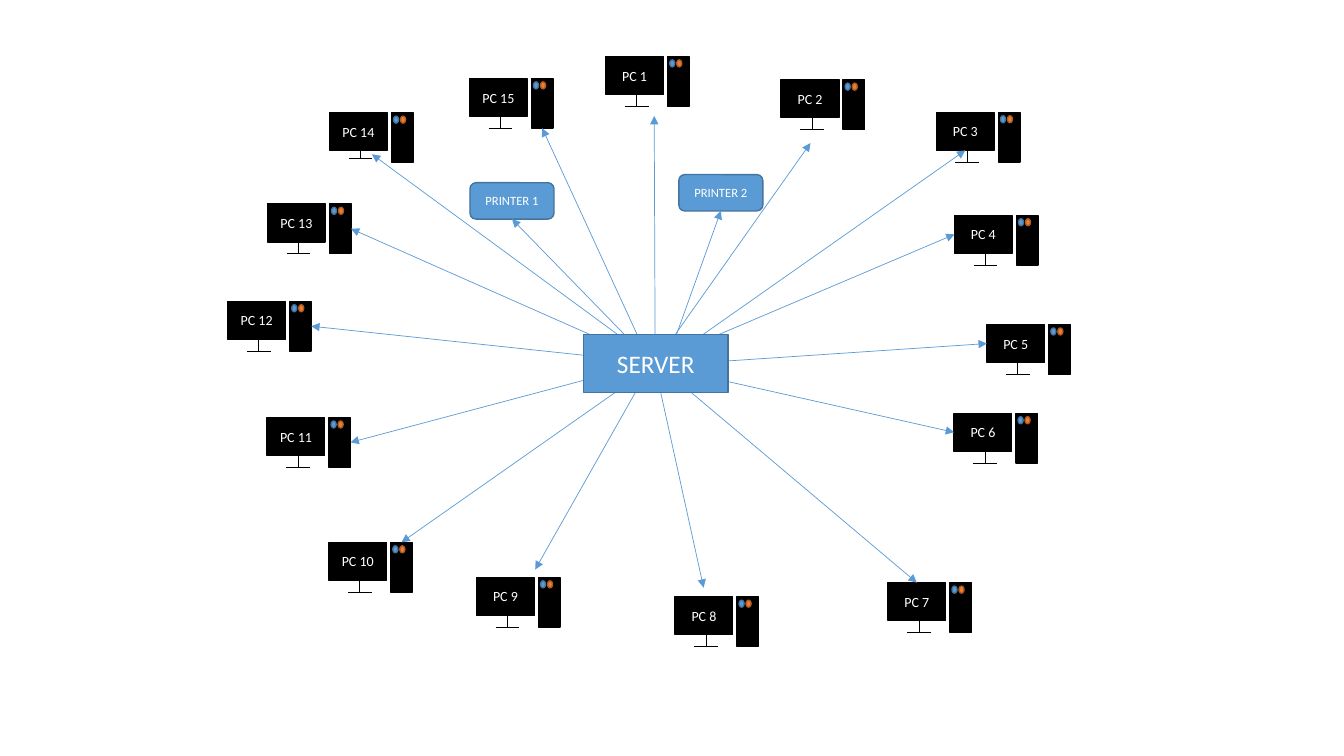
from dataclasses import dataclass
from typing import Optional

from lxml.etree import SubElement
from pptx import Presentation
from pptx.dml.color import RGBColor
from pptx.enum.shapes import MSO_CONNECTOR, MSO_SHAPE
from pptx.enum.text import MSO_ANCHOR, PP_ALIGN
from pptx.oxml.ns import qn
from pptx.shapes.autoshape import Shape
from pptx.shapes.connector import Connector
from pptx.util import Pt

BLACK, WHITE = "000000", "FFFFFF"
BLUE, DARK_BLUE = "5B9BD5", "43739E"
ORANGE, DARK_ORANGE = "ED7D31", "AF5C24"
TOP, LEFT, BOTTOM, RIGHT = range(4)

Point = tuple[float, float]


@dataclass
class Computer:
    """A cable ends at a side of the monitor or tower, or at a free tip."""
    name: str
    left: float
    top: float
    cable_start: Point
    unit: str = "monitor"
    side: int = LEFT
    tip: Optional[Point] = None
    stand_height: float = 8.4


@dataclass
class Printer:
    name: str
    left: float
    top: float
    cable_start: Optional[Point] = None


COMPUTERS = [
    Computer("PC 1", 432.7, 40.3, (468, 259.2), tip=(467.3, 82.8)),
    Computer("PC 2", 558, 56.9, (468, 259.2), tip=(578.9, 102.2)),
    Computer("PC 3", 668.9, 80.2, (465.1, 265), side=BOTTOM),
    Computer("PC 4", 681.8, 153.8, (465.8, 259.2)),
    Computer("PC 5", 704.9, 231.8, (466.6, 261.4)),
    Computer("PC 6", 681.5, 295.2, (466.6, 260.6)),
    Computer("PC 7", 634.3, 416.2, (464.4, 255.6), side=TOP),
    Computer("PC 8", 482.2, 426.2, (467.3, 259.2), tip=(502.6, 419.8)),
    Computer("PC 9", 340.4, 412.4, (465.8, 259.2), tip=(382.3, 406.8)),
    Computer("PC 10", 234.9, 387.4, (464.4, 262.8), "tower", TOP),
    Computer("PC 11", 190.8, 298.2, (463.7, 259.2), "tower", RIGHT),
    Computer("PC 12", 162.7, 215.2, (468, 259.2), "tower", RIGHT),
    Computer("PC 13", 191.1, 145.6, (462.2, 257), "tower", RIGHT),
    Computer("PC 14", 235.4, 80.5, (465.8, 257), tip=(265.7, 110.2), stand_height=5.6),
    Computer("PC 15", 335.4, 56, (464.4, 259.2), "tower", BOTTOM),
]
PRINTERS = [
    Printer("PRINTER 1", 335.7, 130.5, (465.1, 258.5)),
    Printer("PRINTER 2", 484.9, 124.7),
]


def rgb(colour: str) -> RGBColor:
    return RGBColor.from_string(colour)


def add_block(shapes, kind: MSO_SHAPE, left: float, top: float, width: float,
              height: float, fill: str, outline: str) -> Shape:
    block = shapes.add_shape(kind, Pt(left), Pt(top), Pt(width), Pt(height))
    block.shadow.inherit = False
    block.fill.solid()
    block.fill.fore_color.rgb = rgb(fill)
    block.line.color.rgb = rgb(outline)
    block.line.width = Pt(1)
    return block


def write_label(block: Shape, label: str, size: float) -> None:
    frame = block.text_frame
    frame.text = label
    frame.word_wrap = True
    frame.vertical_anchor = MSO_ANCHOR.MIDDLE
    frame.margin_left = frame.margin_right = 0
    frame.margin_top = frame.margin_bottom = 0
    paragraph = frame.paragraphs[0]
    paragraph.alignment = PP_ALIGN.CENTER
    font = paragraph.runs[0].font
    font.name = "Calibri"
    font.size = Pt(size)
    font.color.rgb = rgb(WHITE)


def add_line(shapes, start: Point, end: Point, colour: str) -> Connector:
    line = shapes.add_connector(MSO_CONNECTOR.STRAIGHT, Pt(start[0]), Pt(start[1]),
                                Pt(end[0]), Pt(end[1]))
    line.line.color.rgb = rgb(colour)
    line.line.width = Pt(0.5)
    SubElement(line._element.spPr, qn("a:effectLst"))
    return line


def add_cable(shapes, start: Point, end: Point) -> Connector:
    cable = add_line(shapes, start, end, BLUE)
    outline = cable._element.spPr.find(qn("a:ln"))
    SubElement(outline, qn("a:tailEnd"), type="triangle")
    return cable


def add_computer(shapes, computer: Computer) -> dict[str, Shape]:
    """Draw one computer as a group and return the units a cable can join."""
    group = shapes.add_group_shape().shapes
    left, top = computer.left, computer.top
    monitor = add_block(group, MSO_SHAPE.RECTANGLE, left, top, 41.2, 27.2, BLACK, BLACK)
    write_label(monitor, computer.name, 10)
    neck, desk = left + 22.1, top + 27.2 + computer.stand_height
    add_line(group, (neck, top + 27.2), (neck, desk), BLACK)
    add_line(group, (neck - 8.5, desk), (neck + 8.5, desk), BLACK)
    tower = add_block(group, MSO_SHAPE.RECTANGLE, left + 44.2, top, 15.4, 35.6, BLACK, BLACK)
    for offset, fill, outline in ((45.7, BLUE, DARK_BLUE), (50.7, ORANGE, DARK_ORANGE)):
        add_block(group, MSO_SHAPE.FLOWCHART_CONNECTOR, left + offset, top + 2.5,
                  3.6, 5, fill, outline)
    return {"monitor": monitor, "tower": tower}


def main() -> None:
    presentation = Presentation()
    presentation.slide_width = Pt(960)
    presentation.slide_height = Pt(540)
    shapes = presentation.slides.add_slide(presentation.slide_layouts[6]).shapes

    computer_units = [add_computer(shapes, computer) for computer in COMPUTERS]
    printer_boxes = []
    for printer in PRINTERS:
        box = add_block(shapes, MSO_SHAPE.ROUNDED_RECTANGLE, printer.left, printer.top,
                        60, 26, BLUE, DARK_BLUE)
        write_label(box, printer.name, 9)
        printer_boxes.append(box)

    centre = (468.4, 259.4)
    for computer, units in zip(COMPUTERS, computer_units):
        cable = add_cable(shapes, computer.cable_start, computer.tip or centre)
        if computer.tip is None:
            cable.end_connect(units[computer.unit], computer.side)

    printer_cables = []
    for printer, box in zip(PRINTERS, printer_boxes):
        cable = add_cable(shapes, printer.cable_start or centre, centre)
        cable.end_connect(box, BOTTOM)
        printer_cables.append(cable)

    server = add_block(shapes, MSO_SHAPE.FLOWCHART_PROCESS, 416.9, 239, 103, 41.2,
                       BLUE, DARK_BLUE)
    write_label(server, "SERVER", 18)
    for printer, cable in zip(PRINTERS, printer_cables):
        if printer.cable_start is None:
            cable.begin_connect(server, BOTTOM)

    presentation.save("out.pptx")


if __name__ == "__main__":
    main()
